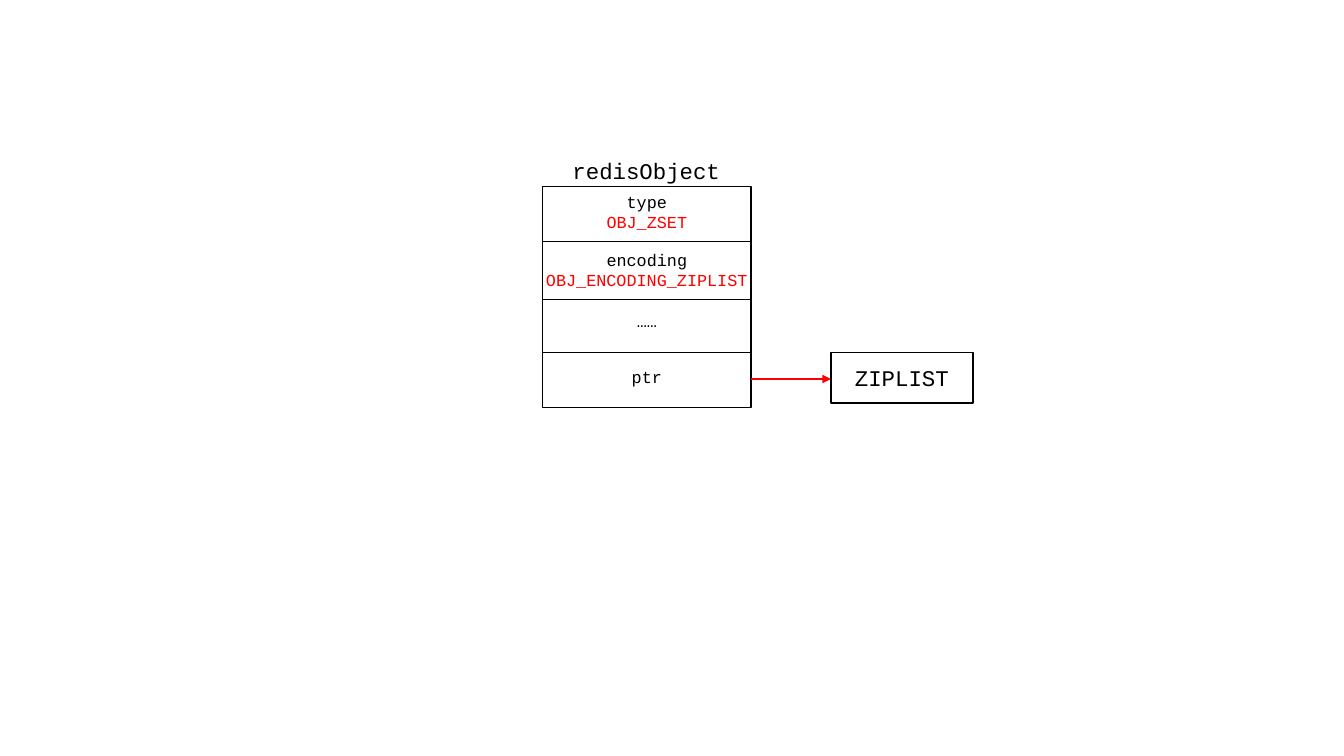
import pptx
import pptx.dml.color
import pptx.enum.shapes
import pptx.enum.text
import pptx.oxml
import pptx.oxml.ns
import pptx.util

Inches = pptx.util.Inches
Pt = pptx.util.Pt
ALIGN = pptx.enum.text.PP_ALIGN
ANCHOR = pptx.enum.text.MSO_ANCHOR

COLORS = {"ink": "000000", "accent": "FF0000", "paper": "FFFFFF"}


def rgb(name):
    """Return the named colour."""
    return pptx.dml.color.RGBColor.from_string(COLORS[name])


class Diagram:
    """Hold the style and the current slide, and draw elements on it."""

    font = "Courier New"

    def __init__(self, slide):
        """Keep the slide to draw on."""
        self.slide = slide

    def add_lines(self, tf, lines, size, align=ALIGN.CENTER):
        """Fill a text frame with one paragraph per (text, colour) pair."""
        for i, (text, color) in enumerate(lines):
            p = tf.add_paragraph() if i else tf.paragraphs[0]
            p.alignment = align
            r = p.add_run()
            r.text = text
            r.font.name = self.font
            r.font.size = Pt(size)
            r.font.color.rgb = rgb(color)

    def box(self, left, top, width, height):
        """Draw a white rectangle with a black outline."""
        sp = self.slide.shapes.add_shape(
            pptx.enum.shapes.MSO_SHAPE.RECTANGLE,
            Inches(left), Inches(top), Inches(width), Inches(height))
        sp.shadow.inherit = False
        sp.fill.solid()
        sp.fill.fore_color.rgb = rgb("paper")
        sp.line.color.rgb = rgb("ink")
        sp.line.width = Pt(1)
        sp.text_frame.vertical_anchor = ANCHOR.MIDDLE
        return sp

    def text(self, left, top, width, height, lines, size, align=ALIGN.CENTER):
        """Place a text box."""
        sp = self.slide.shapes.add_textbox(
            Inches(left), Inches(top), Inches(width), Inches(height))
        tf = sp.text_frame
        tf.word_wrap = True
        self.add_lines(tf, lines, size, align)

    def line(self, x1, x2, y, color, width, arrow=False):
        """Draw a horizontal line, with an arrowhead at its end if asked."""
        s = self.slide.shapes.add_connector(
            pptx.enum.shapes.MSO_CONNECTOR.STRAIGHT,
            Inches(x1), Inches(y), Inches(x2), Inches(y))
        s.line.color.rgb = rgb(color)
        s.line.width = Pt(width)
        spPr = s._element.spPr
        if arrow:
            tail = pptx.oxml.parse_xml(
                '<a:tailEnd %s type="triangle"/>' % pptx.oxml.ns.nsdecls("a"))
            spPr.find(pptx.oxml.ns.qn("a:ln")).append(tail)
        spPr.append(pptx.oxml.parse_xml(
            "<a:effectLst %s/>" % pptx.oxml.ns.nsdecls("a")))


prs = pptx.Presentation()
prs.slide_width = Inches(13.33)
prs.slide_height = Inches(7.5)
d = Diagram(prs.slides.add_slide(prs.slide_layouts[6]))

# The struct: an outline, dividers and one label per field
LEFT, TOP, WIDTH, HEIGHT = 5.38, 1.85, 2.07, 2.19
RIGHT = LEFT + WIDTH
LABEL_WIDTH = 2.22
LABEL_LEFT = LEFT + (WIDTH - LABEL_WIDTH) / 2
FIELDS = [
    (1.85, [("type", "ink"), ("OBJ_ZSET", "accent")]),
    (2.43, [("encoding", "ink"), ("OBJ_ENCODING_ZIPLIST", "accent")]),
    (3.03, [("……", "ink")]),
    (3.59, [("ptr", "ink")]),
]

d.box(LEFT, TOP, WIDTH, HEIGHT)
for y in (2.39, 2.97, 3.5):
    d.line(LEFT, RIGHT, y, "ink", 0.5)
for y, lines in FIELDS:
    d.text(LABEL_LEFT, y, LABEL_WIDTH, 0.1 + 0.2 * len(lines), lines, 12)
d.text(5.58, 1.51, 1.84, 0.37, [("redisObject", "ink")], 16, ALIGN.LEFT)

# The pointer and its target
TARGET_LEFT = 8.24
d.line(RIGHT, TARGET_LEFT, 3.76, "accent", 1.5, arrow=True)
target = d.box(TARGET_LEFT, 3.5, 1.41, 0.5)
d.add_lines(target.text_frame, [("ZIPLIST", "ink")], 16)

prs.save("out.pptx")
